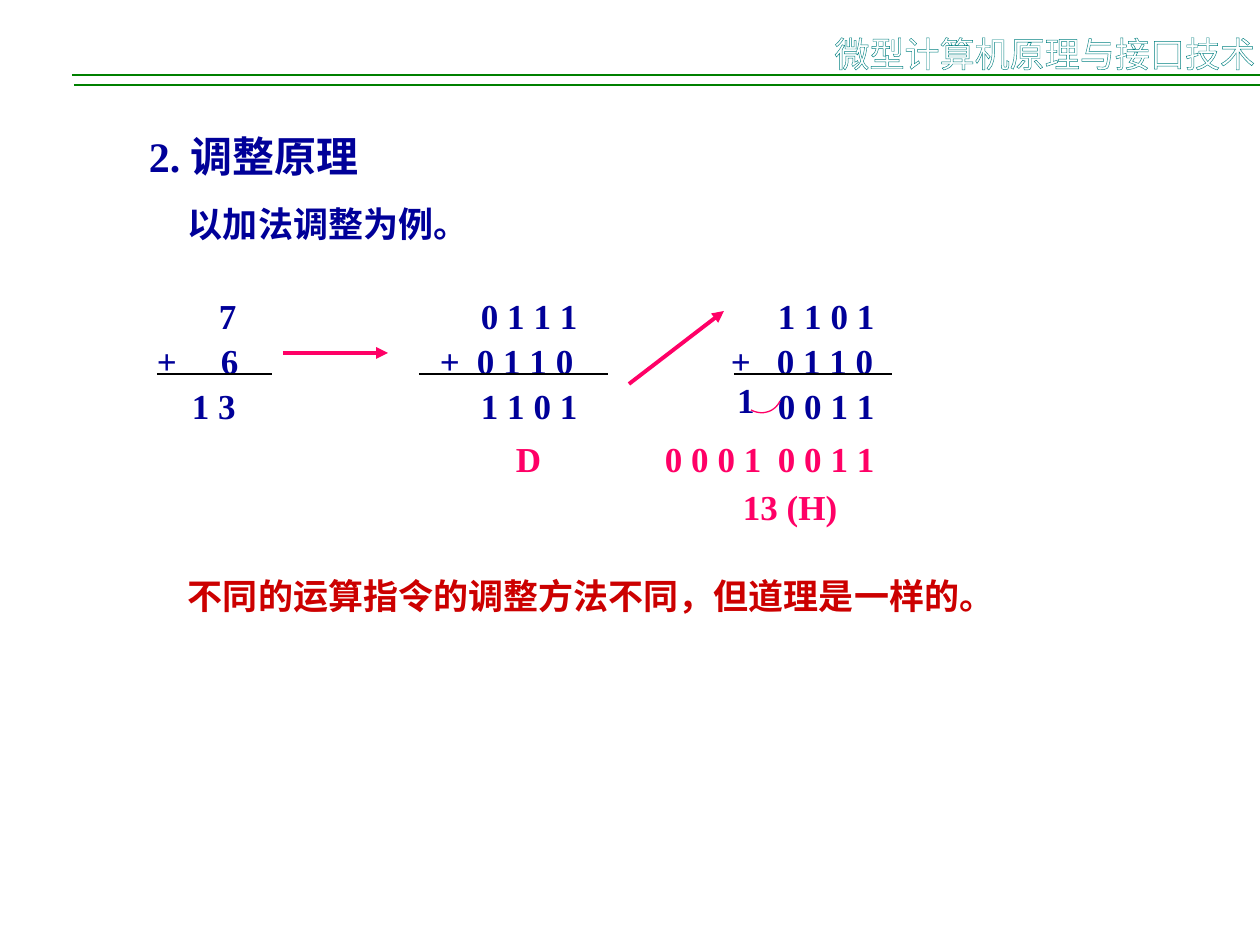
"""Build the slide on the principle of decimal adjustment."""
import pptx
import pptx.util
import pptx.dml.color
import pptx.enum.shapes
import pptx.enum.text
import pptx.oxml.ns
from lxml import etree

PX = 914400 // 126
C = {"navy": "000099", "pink": "FF0066", "red": "CC0000", "teal": "008080",
     "green": "008000", "black": "000000", "white": "FFFFFF"}
CJK = "Noto Sans CJK SC"
TIMES = "Times New Roman"
qn = pptx.oxml.ns.qn


def rgb(name):
    return pptx.dml.color.RGBColor.from_string(C[name])


def write(p, text, color, size=20, name=TIMES, bold=True):
    r = p.add_run()
    r.text = text
    r.font.color.rgb = rgb(color)
    fmt = {"size": pptx.util.Pt(size), "bold": bold, "name": name}
    for key, value in fmt.items():
        setattr(r.font, key, value)
    rPr = r.font._element
    etree.SubElement(rPr, qn("a:ea"), typeface=CJK)
    return rPr


prs = pptx.Presentation()
prs.slide_width, prs.slide_height = 1260 * PX, 945 * PX
s = prs.slides.add_slide(prs.slide_layouts[6])

boxes = {}
for name, x, y, w, h, inset, wrap in [("header", 830, 26, 430, 64, 0, False),
                                      ("body", 136, 124, 1071, 615, 13, True),
                                      ("carry", 724, 372, 43, 55, 13, False)]:
    tf = s.shapes.add_textbox(x * PX, y * PX, w * PX, h * PX).text_frame
    fmt = {"word_wrap": wrap, "margin_left": inset * PX, "margin_right": inset * PX}
    for key, value in fmt.items():
        setattr(tf, key, value)
    boxes[name] = tf

p = boxes["header"].paragraphs[0]
p.alignment = pptx.enum.text.PP_ALIGN.CENTER
rPr = write(p, "微型计算机原理与接口技术", "white", name=CJK, bold=False)
ln = etree.Element(qn("a:ln"), w="9525")
fill = etree.SubElement(ln, qn("a:solidFill"))
etree.SubElement(fill, qn("a:srgbClr"), val=C["teal"])
rPr.insert(0, ln)

write(boxes["carry"].paragraphs[0], "1", "navy")

rows = [
    ("2. 调整原理", "navy", 24, 1, 0, []),
    ("\t以加法调整为例。", "navy", 20, 1, 12.5, [39]),
    ("\t7\t0 1 1 1\t1 1 0 1", "navy", 20, 0.55, 38, [70, 332, 629]),
    ("\t+\t6\t+\t0 1 1 0\t+\t0 1 1 0", "navy", 20, 0.55, 12.5,
     [8, 72, 291, 328, 582, 628]),
    ("\t1 3\t1 1 0 1\t0 0 1 1", "navy", 20, 0.55, 12.5, [43, 332, 629]),
    ("\tD\t0 0 0 1\t0 0 1 1", "pink", 20, 0.8, 12.5, [367, 516, 629]),
    ("\t13 (H)", "pink", 20, 0.55, 12.5, [594]),
    ("\t不同的运算指令的调整方法不同，但道理是一样的。", "red", 20, 0.55, 38, [39]),
]
tf = boxes["body"]
for i, (text, color, size, spacing, before, stops) in enumerate(rows):
    p = tf.add_paragraph() if i else tf.paragraphs[0]
    p.line_spacing = spacing
    p.space_before = pptx.util.Pt(before)
    if stops:
        tabs = etree.SubElement(p._p.get_or_add_pPr(), qn("a:tabLst"))
        for stop in stops:
            etree.SubElement(tabs, qn("a:tab"), pos=str(stop * PX), algn="l")
    write(p, text, color, size)

for x1, y1, x2, y2, color, width, arrow in [
        (74, 85, 1260, 85, "green", 0.75, False),
        (72, 75, 1260, 75, "green", 0.75, False),
        (157, 374, 272, 374, "black", 0.75, False),
        (419, 374, 608, 374, "black", 0.75, False),
        (734, 374, 892, 374, "black", 0.75, False),
        (283, 353, 388, 353, "pink", 2.25, True),
        (629, 384, 724, 311, "pink", 2.25, True)]:
    line = s.shapes.add_connector(pptx.enum.shapes.MSO_CONNECTOR.STRAIGHT,
                                  x1 * PX, y1 * PX, x2 * PX, y2 * PX)
    line.line.color.rgb = rgb(color)
    line.line.width = pptx.util.Pt(width)
    if arrow:
        etree.SubElement(line.line._get_or_add_ln(), qn("a:tailEnd"), type="triangle")
    etree.SubElement(line._element.spPr, qn("a:effectLst"))

curve = [(780, 401), (775, 412), (762, 416), (751, 410)]
steps = 16
points = []
for i in range(steps + 1):
    t = i / steps
    weights = [(1 - t) ** 3, 3 * t * (1 - t) ** 2, 3 * t ** 2 * (1 - t), t ** 3]
    points.append([round(PX * sum(k * pt[axis] for k, pt in zip(weights, curve)))
                   for axis in (0, 1)])
builder = s.shapes.build_freeform(*points[0])
builder.add_line_segments(points[1:], close=False)
arc = builder.convert_to_shape()
arc.shadow.inherit = False
arc.fill.background()
arc.line.color.rgb = rgb("pink")
arc.line.width = pptx.util.Pt(0.75)

prs.save("out.pptx")
